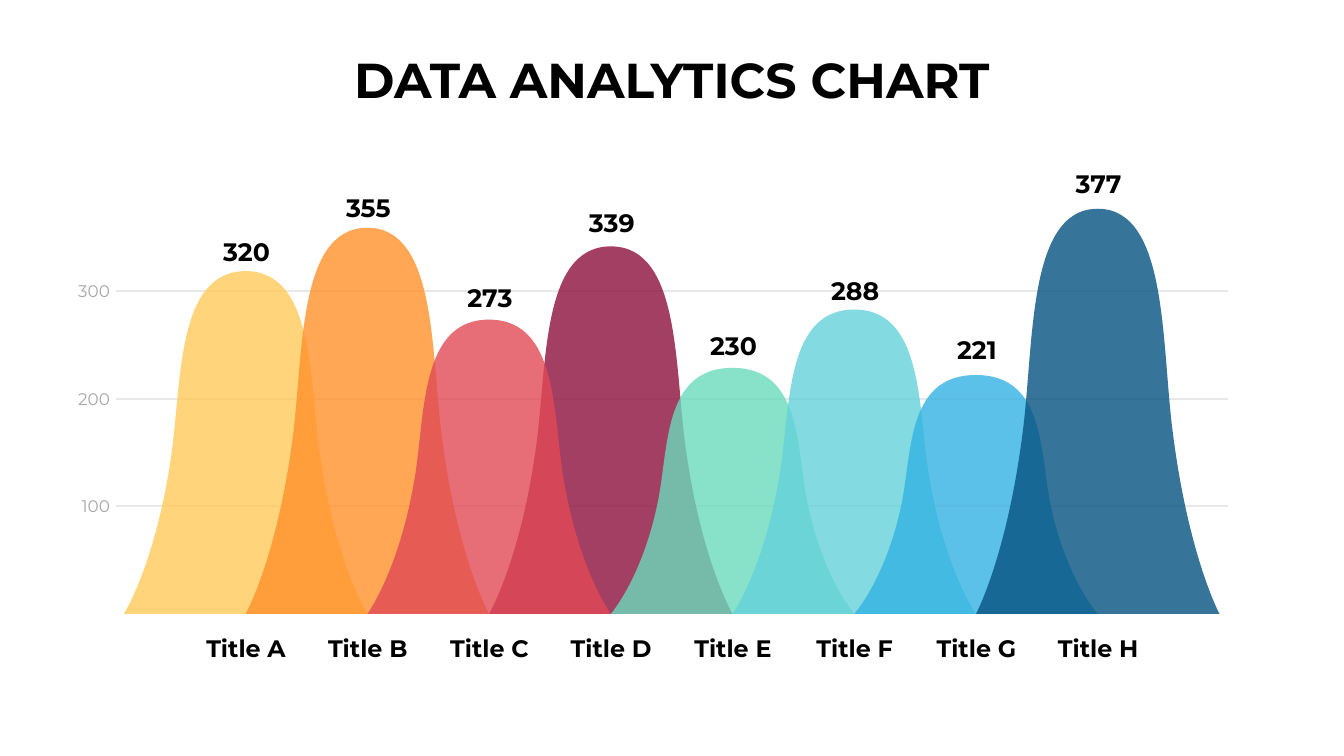
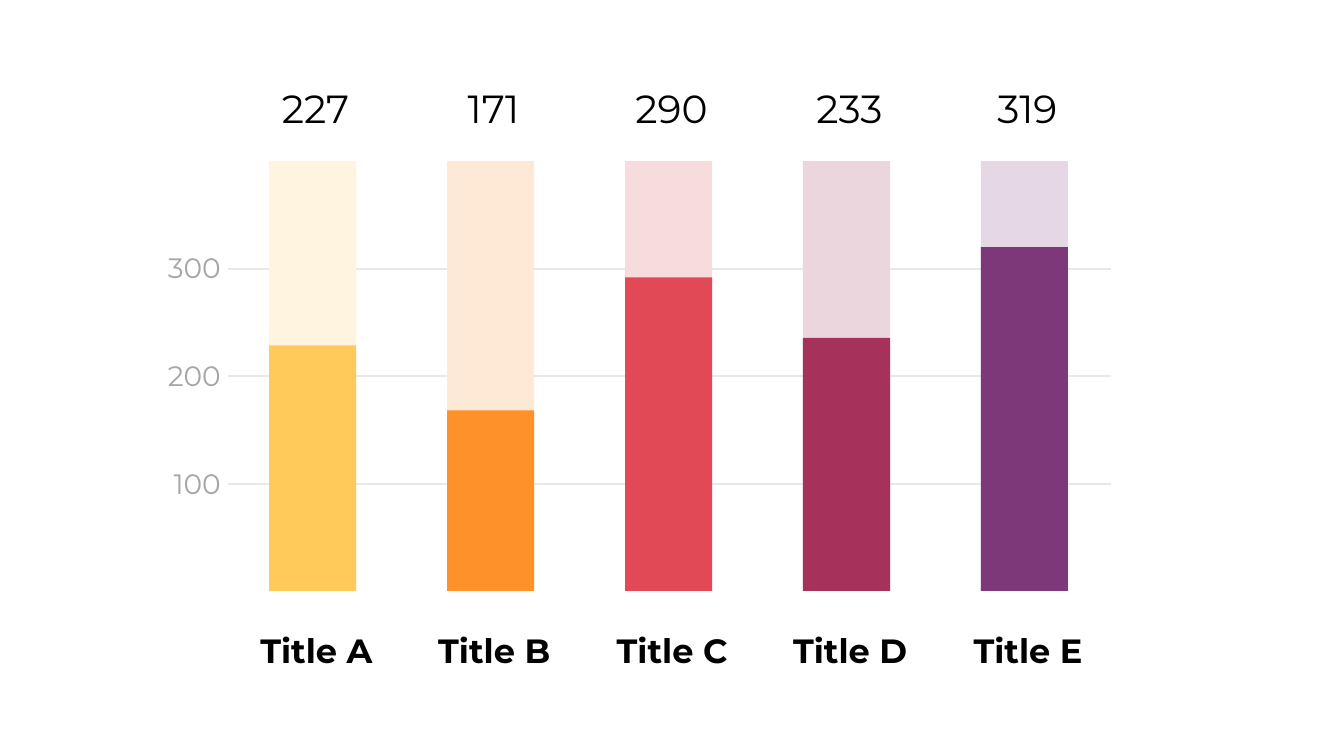
from pptx import Presentation
from pptx.dml.color import RGBColor
from pptx.enum.shapes import MSO_CONNECTOR, MSO_SHAPE
from pptx.enum.text import PP_ALIGN
from pptx.oxml.ns import qn
from pptx.util import Pt
from lxml.etree import SubElement

# Shared styles
BLACK, GREY, GRID = "000000", "A6A6A6", "E8E8E8"
HEADING = dict(size=Pt(35), bold=True)
NAME_1, NAME_2 = dict(size=Pt(17), bold=True), dict(size=Pt(24), bold=True)
VALUE_1, VALUE_2 = dict(size=Pt(18), bold=True), dict(size=Pt(28), bold=False)

prs = Presentation()
prs.slide_width, prs.slide_height = Pt(960), Pt(540)


def paint(fill, color, alpha=None):
    fill.solid()
    fill.fore_color.rgb = RGBColor.from_string(color)
    if alpha:
        clr = fill._xPr.find(qn("a:solidFill"))[0]
        SubElement(clr, qn("a:alpha")).set("val", str(alpha * 1000))


def add_text(s, text, x, y, w, h, style, color=BLACK, align=PP_ALIGN.CENTER):
    tf = s.shapes.add_textbox(Pt(x), Pt(y), Pt(w), Pt(h)).text_frame
    tf.word_wrap = True
    for side in ("left", "top", "right", "bottom"):
        setattr(tf, f"margin_{side}", 0)
    p = tf.paragraphs[0]
    p.alignment = align
    r = p.add_run()
    r.text = text
    for key, val in dict(style, name="Montserrat").items():
        setattr(r.font, key, val)
    paint(r.font.fill, color)


bell_slide, bar_slide = [prs.slides.add_slide(prs.slide_layouts[6]) for _ in range(2)]

# Grid lines with scale labels: line start and end, y of 100 and step,
# label left, width and height, label y of 100 and step, text size
grids = [
    (bell_slide, 82.8, 877, 361.6, 76.7, 44, 34.5, 16.6, 354.3, 76.7, 12),
    (bar_slide, 162.7, 793.4, 345.6, 76.8, 96.5, 61.2, 26, 333.4, 77.4, 20),
]
for s, x1, x2, y100, step, label_x, label_w, label_h, label_y, label_step, size in grids:
    for i in range(3):
        y = y100 - i * step
        line = s.shapes.add_connector(MSO_CONNECTOR.STRAIGHT, Pt(x1), Pt(y), Pt(x2), Pt(y))
        line.line.width = Pt(1.37)
        paint(line.line.fill, GRID)
        SubElement(line._element.spPr, qn("a:effectLst"))
        add_text(s, str(100 * (i + 1)), label_x, label_y - i * label_step, label_w, label_h,
                 dict(size=Pt(size)), GREY, PP_ALIGN.RIGHT)

# Bell slide: name, value, value label y, bell height, colour
add_text(bell_slide, "DATA ANALYTICS CHART", 178, 35.3, 604, 45.4, HEADING)
bells = [
    ("Title A", 320, 168.5, 244.8, "FFCA59"),
    ("Title B", 355, 137.5, 275.8, "FF912B"),
    ("Title C", 273, 201.6, 210.2, "E24956"),
    ("Title D", 339, 148.3, 262.5, "8C103D"),
    ("Title E", 230, 235.7, 175.7, "6BDABC"),
    ("Title F", 288, 196.6, 217.4, "64D1DA"),
    ("Title G", 221, 238.6, 170.6, "34B2E3"),
    ("Title H", 377, 120.2, 289.4, "065280"),
]
BELL_STEP, BELL_BASE = 86.95, 438.5

# Unit bell: a start point, then three points for each Bezier curve
outline = [
    (0.62, 0.44),
    (0.52, 0.66), (0.585, 1), (0, 1),
    (-0.585, 1), (-0.52, 0.66), (-0.62, 0.44),
    (-0.75, 0.14), (-1, 0), (-1, 0),
    (0, 0), (0, 0), (0, 0),
    (1, 0), (1, 0), (1, 0),
    (1, 0), (0.75, 0.14), (0.62, 0.44),
]

filled = []
for i in (3, 4, 5, 6, 7, 0, 1, 2):  # the first three bells lie on top
    name, value, value_y, height, color = bells[i]
    center = 88.5 + (i + 1) * BELL_STEP
    points = [(Pt(center + x * BELL_STEP), Pt(BELL_BASE - y * height)) for x, y in outline]
    builder = bell_slide.shapes.build_freeform(*points[0], scale=1.0)
    builder.add_line_segments(points[1:], close=True)
    bell = builder.convert_to_shape()
    # Join each three segments into one curve
    segments = list(bell._element.iter(qn("a:lnTo")))
    for k in range(0, len(segments), 3):
        curve, *rest = segments[k:k + 3]
        for segment in rest:
            curve.append(segment[0])
            segment.getparent().remove(segment)
        curve.tag = qn("a:cubicBezTo")
    filled.append((bell, color, 80))
    add_text(bell_slide, name, center - 42.2, 452.4, 85, 28, NAME_1)
    add_text(bell_slide, str(value), center - 26.8, value_y, 55, 22.3, VALUE_1)

# Bar slide: name, value, bar height, bar colour, track colour
bars = [
    ("Title A", 227, 175.3, "FFCA59", "FFF4DF"),
    ("Title B", 171, 128.9, "FF912B", "FEE9D6"),
    ("Title C", 290, 224, "E24956", "F8DBDD"),
    ("Title D", 233, 180.8, "A6325C", "ECD6DE"),
    ("Title E", 319, 245.5, "7D387A", "E5D7E4"),
]
BAR_BASE, BAR_W, TRACK_H = 422.1, 62.2, 307
for i, (name, value, height, color, track) in enumerate(bars):
    x = 192.3 + i * 127.1
    center = x + BAR_W / 2 + 2.3
    for h, tint in ((TRACK_H, track), (height, color)):
        bar = bar_slide.shapes.add_shape(
            MSO_SHAPE.RECTANGLE, Pt(x), Pt(BAR_BASE - h), Pt(BAR_W), Pt(h))
        filled.append((bar, tint, None))
    add_text(bar_slide, name, center - 51.8, 450, 104, 29, NAME_2)
    add_text(bar_slide, str(value), center - 47.8, 60.5, 95, 41, VALUE_2)

# Flat fills for all bells and bars
for sp, color, alpha in filled:
    paint(sp.fill, color, alpha)
    sp.line.fill.background()
    sp.shadow.inherit = False

prs.save("out.pptx")
